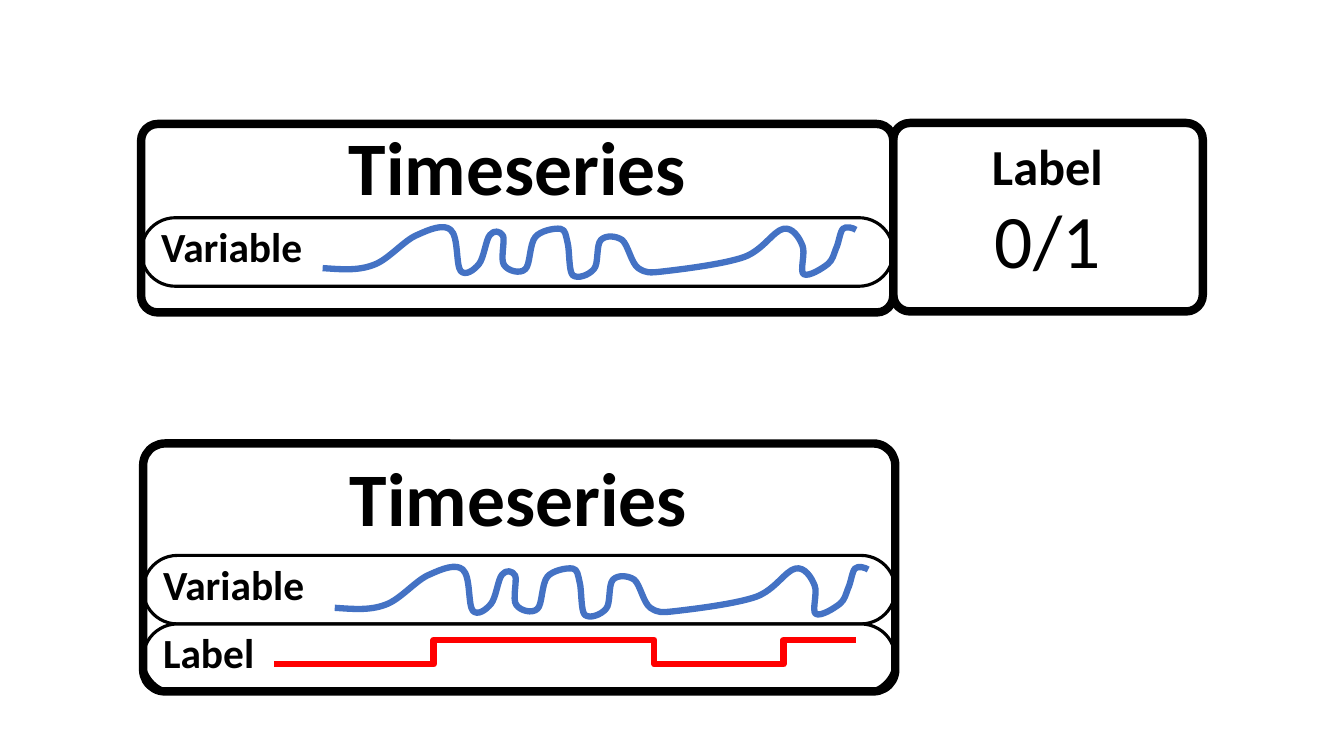
from lxml.etree import SubElement
from pptx import Presentation
from pptx.dml.color import RGBColor
from pptx.enum.shapes import MSO_CONNECTOR as Connector, MSO_SHAPE as Preset
from pptx.enum.text import MSO_ANCHOR as Anchor, MSO_AUTO_SIZE as AutoSize, PP_ALIGN as Align
from pptx.oxml.ns import qn
from pptx.util import Inches, Pt

COLORS = {"ink": "000000", "paper": "FFFFFF", "signal": "4472C4", "label": "FF0000"}
FONT = "Calibri"
LANE_WIDTH, LANE_HEIGHT = 7.46, 0.68

WAVE_START = (320, 266)
WAVE_CURVES = [
    [(337, 267), (354, 269), (370, 263)], [(385, 258), (401, 238), (414, 233)],
    [(427, 227), (440, 222), (447, 228)], [(455, 235), (452, 263), (457, 269)],
    [(462, 274), (470, 268), (475, 262)], [(480, 256), (482, 237), (486, 233)],
    [(490, 228), (496, 229), (499, 234)], [(501, 239), (496, 258), (500, 263)],
    [(504, 269), (516, 272), (521, 267)], [(526, 263), (525, 242), (531, 235)],
    [(536, 229), (550, 226), (556, 227)], [(561, 228), (561, 233), (563, 241)],
    [(565, 249), (564, 269), (568, 273)], [(573, 277), (584, 273), (589, 267)],
    [(594, 262), (591, 243), (596, 238)], [(601, 233), (611, 234), (617, 238)],
    [(623, 243), (626, 261), (633, 266)], [(641, 271), (643, 271), (660, 269)],
    [(677, 267), (718, 262), (738, 255)], [(757, 248), (767, 229), (777, 227)],
    [(786, 225), (793, 236), (796, 244)], [(799, 251), (793, 269), (797, 272)],
    [(802, 275), (816, 266), (821, 262)], [(826, 258), (827, 252), (829, 247)],
    [(832, 241), (833, 230), (836, 227)], [(839, 224), (846, 226), (849, 228)],
]


class Sketch:
    def __init__(self, slide):
        self.shapes = slide.shapes

    def color(self, name):
        return RGBColor.from_string(COLORS[name])

    def stroke(self, item, name, width):
        item.line.color.rgb = self.color(name)
        item.line.width = Pt(width)

    def add_span(self, para, text, size, bold):
        span = para.add_run()
        span.text = text
        span.font.name = FONT
        span.font.size = Pt(size)
        span.font.bold = bold
        span.font.color.rgb = self.color("ink")

    def rounded(self, left, top, width, height, radius, line_width):
        box = self.shapes.add_shape(
            Preset.ROUNDED_RECTANGLE, Inches(left), Inches(top), Inches(width), Inches(height))
        box.adjustments[0] = radius
        box.shadow.inherit = False
        self.stroke(box, "ink", line_width)
        return box

    def frame(self, left, top, width, height):
        self.rounded(left, top, width, height, 0.088, 6).fill.background()

    def lane(self, left, top, text):
        box = self.rounded(left, top, LANE_WIDTH, LANE_HEIGHT, 0.5, 2.25)
        box.fill.solid()
        box.fill.fore_color.rgb = self.color("paper")
        box.text_frame.word_wrap = True
        box.text_frame.vertical_anchor = Anchor.MIDDLE
        para = box.text_frame.paragraphs[0]
        para.alignment = Align.LEFT
        para.line_spacing = 0.7
        para.space_before = Pt(10)
        self.add_span(para, text, 29.6, True)

    def text(self, left, top, width, height, text, size, bold=True, centered=False):
        box = self.shapes.add_textbox(Inches(left), Inches(top), Inches(width), Inches(height))
        box.text_frame.word_wrap = centered
        box.text_frame.auto_size = AutoSize.SHAPE_TO_FIT_TEXT
        para = box.text_frame.paragraphs[0]
        para.alignment = Align.CENTER if centered else Align.LEFT
        self.add_span(para, text, size, bold)

    def title(self, left, top):
        self.text(left, top, 4.83, 1.01, "Timeseries", 54, centered=True)

    def wave(self, shift_x=0, shift_y=0):
        builder = self.shapes.build_freeform(*WAVE_START, scale=Inches(0.01))
        builder.add_line_segments([point for curve in WAVE_CURVES for point in curve], close=False)
        wave = builder.convert_to_shape(Inches(shift_x), Inches(shift_y))
        wave.shadow.inherit = False
        wave.fill.background()
        self.stroke(wave, "signal", 4.5)
        segments = wave._element.xpath(".//a:lnTo")
        outline = segments[0].getparent()
        for first in range(0, len(segments), 3):
            curve = SubElement(outline, qn("a:cubicBezTo"))
            for segment in segments[first:first + 3]:
                curve.append(segment[0])
                outline.remove(segment)

    def step(self, start, end):
        step = self.shapes.add_connector(
            Connector.ELBOW, *(Inches(value) for value in (*start, *end)))
        self.stroke(step, "label", 4.5)
        SubElement(step._element.spPr, qn("a:effectLst"))


def main():
    deck = Presentation()
    deck.slide_width, deck.slide_height = Inches(13.33), Inches(7.5)
    sketch = Sketch(deck.slides.add_slide(deck.slide_layouts[6]))

    lane_top = 5.51
    for row, name in enumerate(("Variable", "Label")):
        sketch.lane(1.42, lane_top + row * LANE_HEIGHT, name)
    sketch.frame(1.42, 4.4, LANE_WIDTH, 2.46)
    low, high = 6.59, 6.35
    sketch.step((2.72, low), (5.88, high))
    sketch.step((7.1, low), (5.88, high))
    sketch.step((8.49, high), (7.05, low))
    sketch.wave(0.12, 3.37)
    sketch.title(2.73, 4.42)

    sketch.lane(1.4, 2.16, "Variable")
    sketch.frame(1.4, 1.23, LANE_WIDTH, 1.87)
    sketch.wave()
    sketch.title(2.72, 1.14)
    sketch.frame(8.86, 1.22, 3.07, 1.87)
    sketch.text(9.74, 1.29, 1.32, 0.71, "Label", 36)
    sketch.text(9.77, 1.86, 1.26, 1.01, "0/1", 54, bold=False)

    deck.save("out.pptx")


if __name__ == "__main__":
    main()
